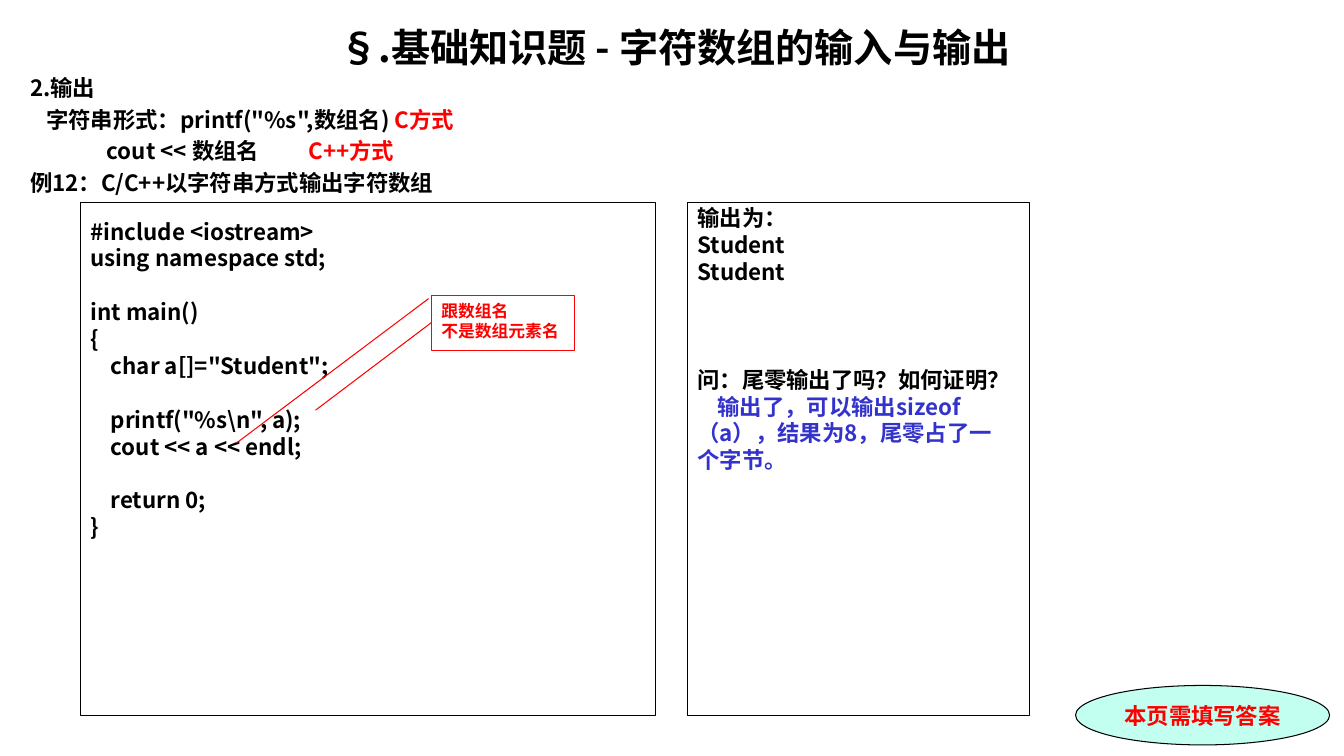
from lxml.etree import SubElement
from pptx import Presentation
from pptx.dml.color import RGBColor
from pptx.enum.shapes import MSO_CONNECTOR as CONN, MSO_SHAPE as SHAPE
from pptx.enum.text import MSO_ANCHOR as ANCHOR, PP_ALIGN as ALIGN
from pptx.oxml.ns import qn
from pptx.util import Inches, Pt

COLORS = {"black": "000000", "red": "FF0000", "blue": "3333CC", "mint": "C2FFF0"}
SANS, SERIF = "Noto Sans CJK SC", "Times New Roman"
LINE = 19.2  # height of one 16 pt line, in points


class Deck:
    """Holds the style and the current slide; lengths are grid units of 0.1 inch."""

    def __init__(self, cols, rows):
        self.prs = Presentation()
        self.prs.slide_width, self.prs.slide_height = self.unit(cols), self.unit(rows)
        self.slide = self.prs.slides.add_slide(self.prs.slide_layouts[5])

    def unit(self, n):
        return Inches(n / 10)

    def rgb(self, name):
        return RGBColor.from_string(COLORS[name])

    def style(self, r, color="black", size=16, font=SANS):
        r.font.size, r.font.bold, r.font.name = Pt(size), True, font
        r.font.color.rgb = self.rgb(color)
        SubElement(r.font._element, qn("a:ea"), typeface=SANS)

    def frame(self, sp, inset=(1, 0.5), wrap=True, anchor=ANCHOR.TOP):
        tf = sp.text_frame
        tf.word_wrap, tf.vertical_anchor = wrap, anchor
        tf.margin_left = tf.margin_right = self.unit(inset[0])
        tf.margin_top = tf.margin_bottom = self.unit(inset[1])
        return tf

    def fill_text(self, tf, lines, align=ALIGN.LEFT, **style):
        """Each line is (runs, before in points, indent, tab); a run is (text, color)."""
        for i, (runs, before, indent, tab) in enumerate(lines):
            p = tf.add_paragraph() if i else tf.paragraphs[0]
            p.alignment, p.space_before = align, Pt(before)
            pPr = p._p.get_or_add_pPr()
            pPr.set("marL", str(self.unit(indent)))
            pPr.set("indent", "0")
            if tab:
                tabs = SubElement(pPr, qn("a:tabLst"))
                SubElement(tabs, qn("a:tab"), pos=str(self.unit(tab)), algn="l")
            for text, color in runs:
                r = p.add_run()
                r.text = text
                self.style(r, color, **style)

    def title(self, box, text):
        sp = self.slide.shapes.title
        sp.left, sp.top, sp.width, sp.height = map(self.unit, box)
        tf = self.frame(sp)
        self.fill_text(tf, [line(text)], ALIGN.CENTER, size=28)

    def text(self, box, lines):
        sp = self.slide.shapes.add_textbox(*map(self.unit, box))
        self.fill_text(self.frame(sp, (0, 0)), lines)

    def shape(self, kind, box, lines, edge="black", fill=None, inset=(1, 0.5),
              wrap=True, anchor=ANCHOR.TOP, align=ALIGN.LEFT, **style):
        sp = self.slide.shapes.add_shape(kind, *map(self.unit, box))
        sp.shadow.inherit = False
        if fill:
            sp.fill.solid()
            sp.fill.fore_color.rgb = self.rgb(fill)
        else:
            sp.fill.background()
        sp.line.color.rgb, sp.line.width = self.rgb(edge), Pt(0.75)
        self.fill_text(self.frame(sp, inset, wrap, anchor), lines, align, **style)
        return sp

    def connector(self, start, end, color):
        ln = self.slide.shapes.add_connector(CONN.STRAIGHT, *map(self.unit, start + end))
        ln.line.color.rgb, ln.line.width = self.rgb(color), Pt(0.75)
        SubElement(ln._element.spPr, qn("a:effectLst"))


def line(text, color="black", before=0, indent=0):
    return [(text, color)], before, indent, None


def main():
    deck = Deck(133.33, 75)
    deck.title((2, 1.8, 129.9, 5.5), "§.基础知识题 - 字符数组的输入与输出")

    # Introduction
    deck.text((3, 7.4, 120, 12.5), [
        line("2.输出"),
        ([('字符串形式：printf("%s",数组名) ', "black"), ("C方式", "red")], 3.2, 1.6, None),
        ([("cout << 数组名\t", "black"), ("C++方式", "red")], 3.2, 7.6, 26.8),
        line("例12：C/C++以字符串方式输出字符数组", before=3.2),
    ])

    # Reminder to fill in the answer
    deck.shape(SHAPE.OVAL, (106.7, 68, 25.2, 5.9), [line("本页需填写答案", "red")],
               fill="mint", anchor=ANCHOR.MIDDLE, align=ALIGN.CENTER, font=SERIF)

    # Program listing
    top, height = 20.1, 50.9
    code = [
        line("#include <iostream>"),
        line("using namespace std;"),
        line("int main()", before=LINE),
        line("{"),
        line('    char a[]="Student";'),
        line('    printf("%s\\n", a);', before=LINE),
        line("    cout << a << endl;"),
        line("    return 0;", before=LINE),
        line("}"),
    ]
    deck.shape(SHAPE.RECTANGLE, (8, top, 57, height), code, inset=(1, 1.5), wrap=False)

    # Program output, question and answer
    output = [
        line("输出为："),
        line("Student"),
        line("Student"),
        line("问：尾零输出了吗？如何证明？", before=3 * LINE),
        line("输出了，可以输出sizeof", "blue", indent=2),
        line("（a），结果为8，尾零占了一", "blue"),
        line("个字节。", "blue"),
    ]
    deck.shape(SHAPE.RECTANGLE, (68.2, top, 33.9, height), output, inset=(1, 0.2), wrap=False)

    # Callout pointing at both output statements
    note = deck.shape(SHAPE.LINE_CALLOUT_1, (42.8, 29.3, 14.2, 5.5),
                      [line("跟数组名", "red"), line("不是数组元素名", "red")],
                      edge="red", size=12, font=SERIF)
    for i, value in enumerate((0.06, -0.02, 2.66, -1.36)):
        note.adjustments[i] = value
    deck.connector((42.8, 32), (31.3, 40.7), "red")

    deck.prs.save("out.pptx")


if __name__ == "__main__":
    main()
